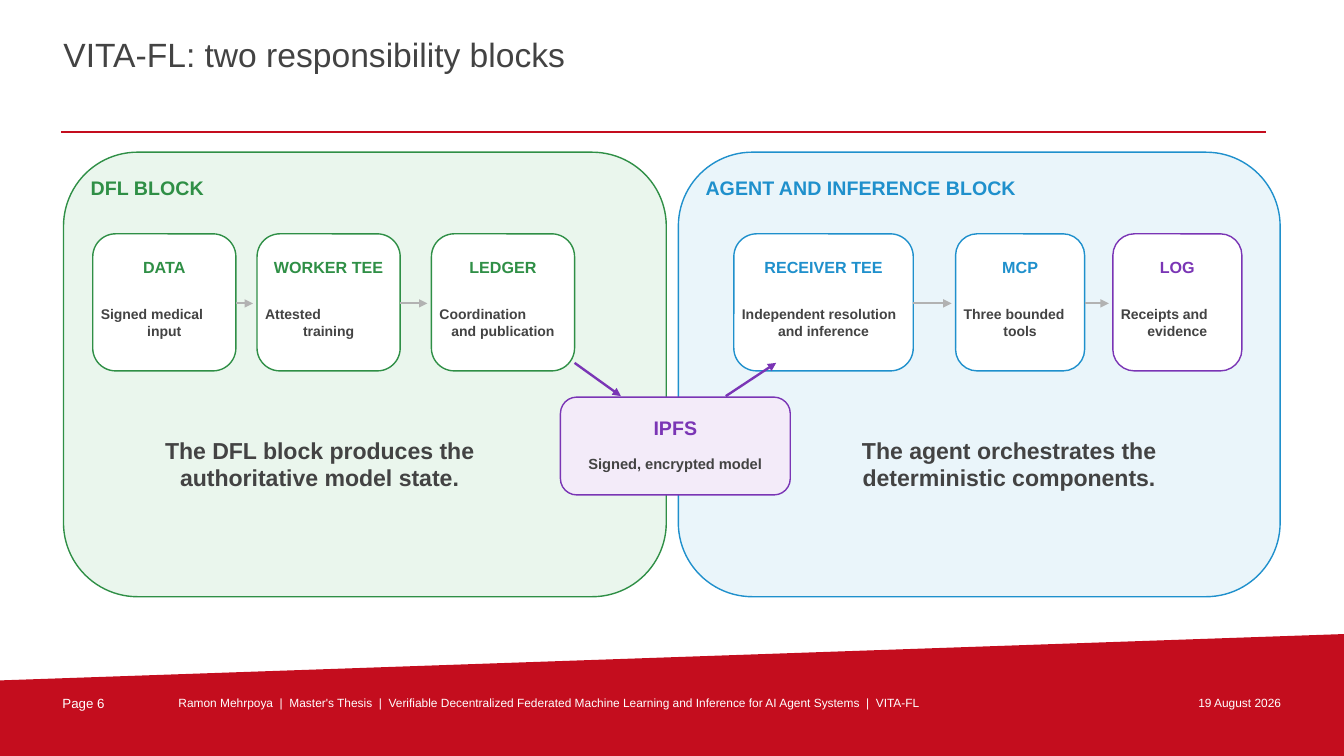
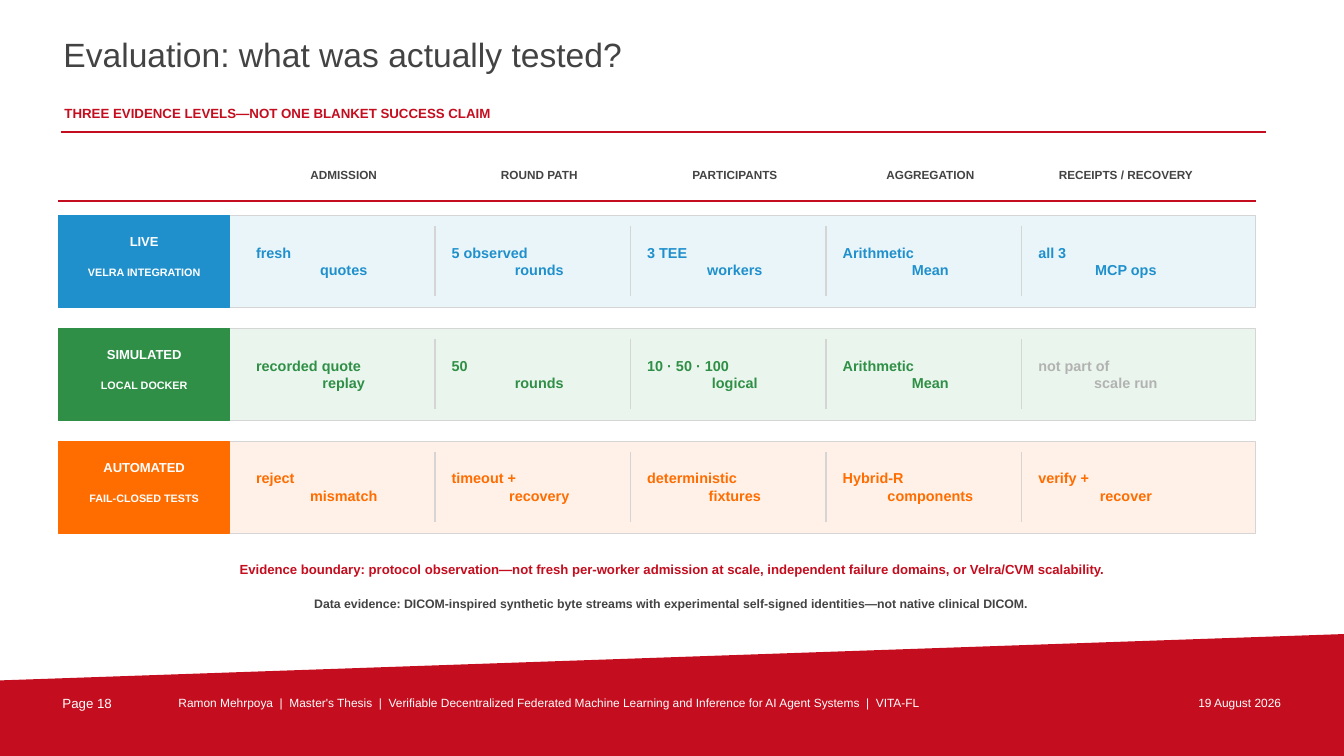
from collections import namedtuple
from itertools import pairwise

from lxml.etree import SubElement
from pptx import Presentation
from pptx.dml.color import RGBColor
from pptx.enum.shapes import MSO_CONNECTOR as Connector, MSO_SHAPE as Shape
from pptx.enum.text import MSO_ANCHOR as Anchor, PP_ALIGN as Align
from pptx.oxml.ns import qn
from pptx.util import Inches, Pt

CELL = 0.1
COLUMNS, ROWS = 133.33, 75
RED, INK, WHITE, GREY, RULE = "C40D1E", "434343", "FFFFFF", "B2B2B2", "D5D5D5"
GREEN, BLUE, PURPLE, ORANGE = "2F8F46", "1F90CC", "7A35B5", "FF6C00"
TINTS = {GREEN: "EAF6ED", BLUE: "EAF5FA", PURPLE: "F3EBF9", ORANGE: "FFF1E7"}
CREDIT = (
    "Ramon Mehrpoya  |  Master's Thesis  |  Verifiable Decentralized Federated "
    "Machine Learning and Inference for AI Agent Systems  |  VITA-FL"
)


class Box(namedtuple("Box", "left top width height")):
    """A region measured in columns and rows of the slide grid."""

    def area(self, column, row, columns, rows):
        """Return a region placed from this region's corner."""
        return Box(self.left + column, self.top + row, columns, rows)

    def point(self, column, row):
        """Return a grid point placed from this region's corner."""
        return self.left + column, self.top + row


SLIDE = Box(0, 0, COLUMNS, ROWS)


def grid(*cells):
    """Turn grid lengths into slide lengths."""
    return [Inches(cell * CELL) for cell in cells]


def paint(target, color):
    """Give a fill, line or font one solid colour."""
    if hasattr(target, "solid"):
        target.solid()
        target.fore_color.rgb = RGBColor.from_string(color)
    else:
        target.color.rgb = RGBColor.from_string(color)


def panel(page, box, fill, line, width=1, kind=Shape.RECTANGLE):
    """Draw a filled and outlined shape."""
    shape = page.shapes.add_shape(kind, *grid(*box))
    shape.shadow.inherit = False
    paint(shape.fill, fill)
    paint(shape.line, line)
    shape.line.width = Pt(width)


def stroke(page, start, end, color, width, arrow=False):
    """Draw a straight line, with an arrowhead at its end if asked."""
    line = page.shapes.add_connector(Connector.STRAIGHT, *grid(*start, *end))
    paint(line.line, color)
    line.line.width = Pt(width)
    properties = line._element.spPr
    if arrow:
        SubElement(properties.find(qn("a:ln")), qn("a:tailEnd"), type="triangle")
    SubElement(properties, qn("a:effectLst"))


def write(page, box, text, size, color=INK, bold=True, align=Align.CENTER,
          anchor=Anchor.TOP):
    """Set text in a box; of two lines the first stands at the left."""
    frame = page.shapes.add_textbox(*grid(*box)).text_frame
    frame.word_wrap = True
    frame.vertical_anchor = anchor
    frame.margin_left = frame.margin_right = Inches(0.02)
    frame.margin_top = frame.margin_bottom = Inches(0.02)
    frame.text = text
    for para in frame.paragraphs:
        para.alignment = align
        for span in para.runs:
            span.font.name = "Arial"
            span.font.size = Pt(size)
            span.font.bold = bold
            paint(span.font, color)
    if len(frame.paragraphs) > 1:
        frame.paragraphs[0].alignment = Align.LEFT


def footer(page, box, number):
    """Draw the slanted band with page number, credit and date."""
    corners = [box.point(box.width, 0), box.point(box.width, box.height),
               box.point(0, box.height)]
    builder = page.shapes.build_freeform(*grid(*box.point(0, 4.6)))
    builder.add_line_segments([grid(*corner) for corner in corners])
    band = builder.convert_to_shape()
    band.shadow.inherit = False
    paint(band.fill, RED)
    band.line.fill.background()
    for column, columns, text, size, align in (
        (6, 10, f"Page {number}", 9.5, Align.LEFT),
        (17.5, 93.5, CREDIT, 8.5, Align.LEFT),
        (112, 15.3, "19 August 2026", 8.5, Align.RIGHT),
    ):
        write(page, box.area(column, 5.9, columns, 2.2), text, size, WHITE,
              False, align)


def new_page(deck, title, number, subtitle=None):
    """Add a slide with title, rule and footer."""
    page = deck.slides.add_slide(deck.slide_layouts[6])
    footer(page, SLIDE.area(0, 62.9, COLUMNS, 12.1), number)
    write(page, SLIDE.area(6.1, 3.2, 96.5, 6.2), title, 24, bold=False,
          align=Align.LEFT)
    if subtitle:
        write(page, SLIDE.area(6.2, 10.2, 97, 2.2), subtitle, 9.5, RED,
              align=Align.LEFT)
    stroke(page, (6.1, 13.1), (125.6, 13.1), RED, 1.5)
    return page


def card(page, box, heading, text, color):
    """Draw one white step card."""
    panel(page, box, WHITE, color, kind=Shape.ROUNDED_RECTANGLE)
    columns = box.width - 1.2
    write(page, box.area(0.6, 1.7, columns, 3.2), heading, 11.5, color,
          anchor=Anchor.MIDDLE)
    write(page, box.area(0.6, 5.7, columns, 6.2), text, 10, anchor=Anchor.MIDDLE)


def block(page, box, heading, color, steps, statement, column, columns):
    """Draw a responsibility block with its chain of cards and statement."""
    panel(page, box, TINTS[color], color, kind=Shape.ROUNDED_RECTANGLE)
    write(page, box.area(2.5, 2.2, 34, 3), heading, 14, color, align=Align.LEFT)
    places = []
    for offset, width, name, text, tone in steps:
        places.append(box.area(offset, 8.1, width, 13.6))
        card(page, places[-1], name, text, tone)
    for place, following in pairwise(places):
        stroke(page, place.point(place.width, 6.9), following.point(-0.4, 6.9),
               GREY, 1.3, arrow=True)
    write(page, box.area(column, 27.8, columns, 6.2), statement, 16.5,
          anchor=Anchor.MIDDLE)


def bridge(page, box):
    """Draw the shared storage box with its arrows in and out."""
    panel(page, box, TINTS[PURPLE], PURPLE, kind=Shape.ROUNDED_RECTANGLE)
    write(page, box.area(1.4, 1.7, 20, 2.6), "IPFS", 14, PURPLE)
    write(page, box.area(1.6, 5.5, 19.6, 2.4), "Signed, encrypted model", 10.5)
    for start, end in (((1.4, -3.4), (6, -0.1)), ((16.4, -0.1), (21.4, -3.4))):
        stroke(page, box.point(*start), box.point(*end), PURPLE, 1.7, arrow=True)


def blocks_page(deck):
    """Build the slide on the two responsibility blocks."""
    page = new_page(deck, "VITA-FL: two responsibility blocks", 6)
    block(page, SLIDE.area(6.3, 15.1, 59.8, 44.1), "DFL BLOCK", GREEN, (
        (2.9, 14.2, "DATA", "Signed medical\ninput", GREEN),
        (19.2, 14.2, "WORKER TEE", "Attested\ntraining", GREEN),
        (36.5, 14.2, "LEDGER", "Coordination\nand publication", GREEN),
    ), "The DFL block produces the authoritative model state.", 3.9, 43)
    block(page, SLIDE.area(67.3, 15.1, 59.7, 44.1), "AGENT AND INFERENCE BLOCK", BLUE, (
        (5.5, 17.8, "RECEIVER TEE", "Independent resolution\nand inference", BLUE),
        (27.5, 12.8, "MCP", "Three bounded\ntools", BLUE),
        (43.1, 12.8, "LOG", "Receipts and\nevidence", PURPLE),
    ), "The agent orchestrates the deterministic components.", 10.9, 43.8)
    bridge(page, SLIDE.area(55.6, 39.4, 22.8, 9.7))


def matrix_column(index):
    """Return the offset of an evidence column from the matrix edge."""
    return 19.4 + 19.4 * index


def evidence_row(page, box, level, setting, color, findings):
    """Draw one evidence level with its findings."""
    panel(page, box, TINTS[color], RULE, 0.7)
    panel(page, box.area(0, 0, 17, box.height), color, color)
    write(page, box.area(1.4, 1.6, 14.2, 2), level, 9.3, WHITE)
    write(page, box.area(1.2, 4.8, 14.6, 2.2), setting, 7.7, WHITE)
    for index, text in enumerate(findings):
        column = matrix_column(index)
        tone = GREY if text.startswith("not ") else color
        write(page, box.area(column, 2, 17.8, 5), text, 10.3, tone,
              anchor=Anchor.MIDDLE)
        if index:
            stroke(page, box.point(column - 1.45, 1), box.point(column - 1.45, 8),
                   RULE, 0.9)


def matrix(page, box, headings, levels):
    """Draw the heading line and the evenly spaced evidence rows."""
    for index, heading in enumerate(headings):
        write(page, box.area(matrix_column(index), 0, 17.8, 3.4), heading, 8.4,
              anchor=Anchor.MIDDLE)
    stroke(page, box.point(0, 4.3), box.point(box.width, 4.3), RED, 1.5)
    for index, level in enumerate(levels):
        evidence_row(page, box.area(0, 5.8 + 11.2 * index, box.width, 9.1), *level)


def evaluation_page(deck):
    """Build the slide on the three evidence levels."""
    page = new_page(deck, "Evaluation: what was actually tested?", 18,
                    "THREE EVIDENCE LEVELS—NOT ONE BLANKET SUCCESS CLAIM")
    matrix(page, SLIDE.area(5.8, 15.6, 118.8, 37.3), (
        "ADMISSION", "ROUND PATH", "PARTICIPANTS", "AGGREGATION",
        "RECEIPTS / RECOVERY",
    ), (
        ("LIVE", "VELRA INTEGRATION", BLUE, (
            "fresh\nquotes", "5 observed\nrounds", "3 TEE\nworkers",
            "Arithmetic\nMean", "all 3\nMCP ops")),
        ("SIMULATED", "LOCAL DOCKER", GREEN, (
            "recorded quote\nreplay", "50\nrounds", "10 · 50 · 100\nlogical",
            "Arithmetic\nMean", "not part of\nscale run")),
        ("AUTOMATED", "FAIL-CLOSED TESTS", ORANGE, (
            "reject\nmismatch", "timeout +\nrecovery", "deterministic\nfixtures",
            "Hybrid-R\ncomponents", "verify +\nrecover")),
    ))
    write(page, SLIDE.area(10, 55.5, 113.2, 2),
          "Evidence boundary: protocol observation—not fresh per-worker admission "
          "at scale, independent failure domains, or Velra/CVM scalability.",
          9.4, RED)
    write(page, SLIDE.area(10, 58.9, 113.2, 1.8),
          "Data evidence: DICOM-inspired synthetic byte streams with experimental "
          "self-signed identities—not native clinical DICOM.", 8.8)


def main():
    """Build and save the deck."""
    deck = Presentation()
    deck.slide_width, deck.slide_height = grid(COLUMNS, ROWS)
    blocks_page(deck)
    evaluation_page(deck)
    deck.save("out.pptx")


if __name__ == "__main__":
    main()
